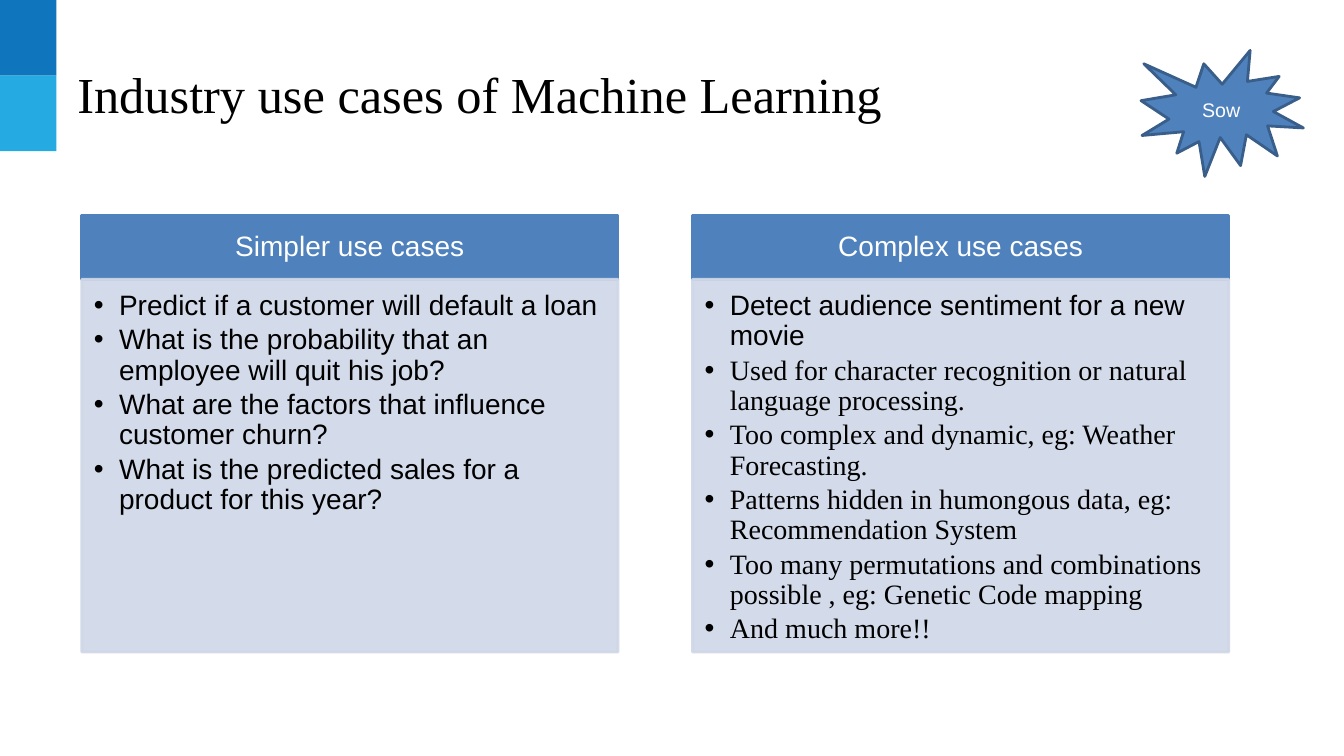
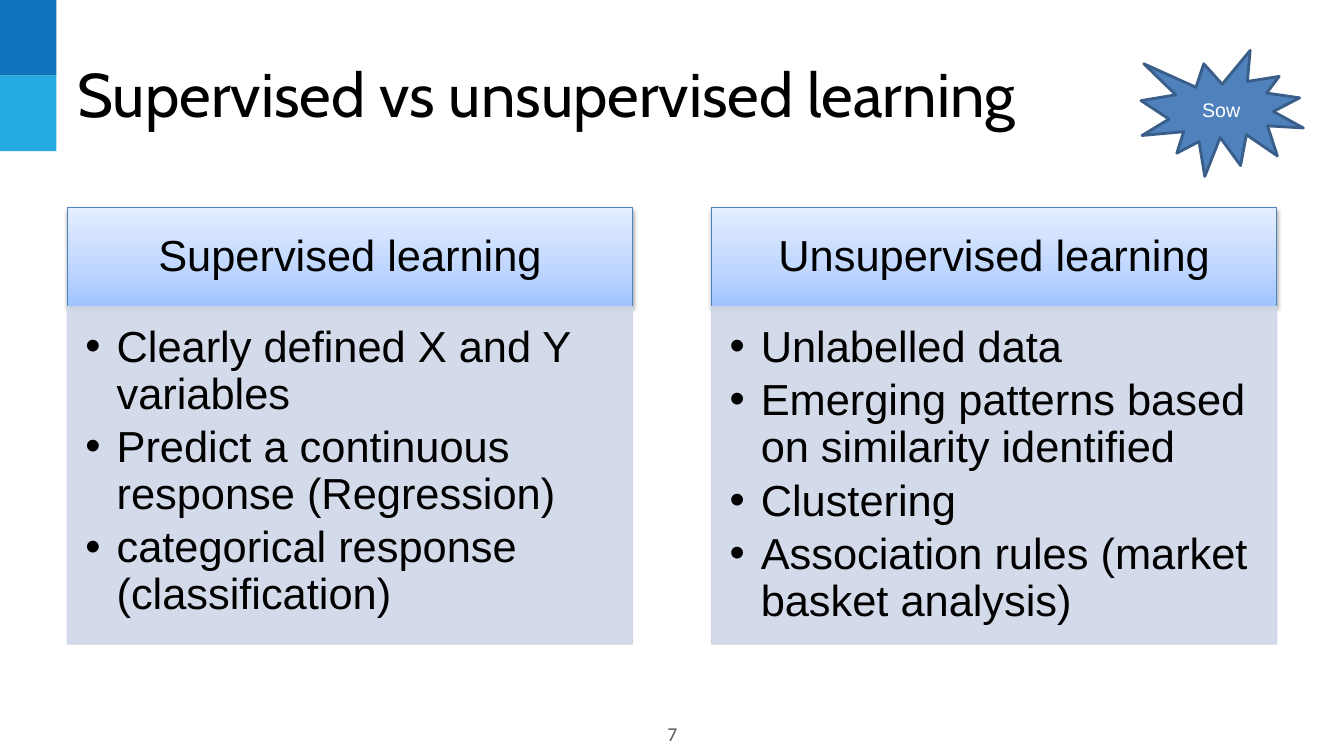
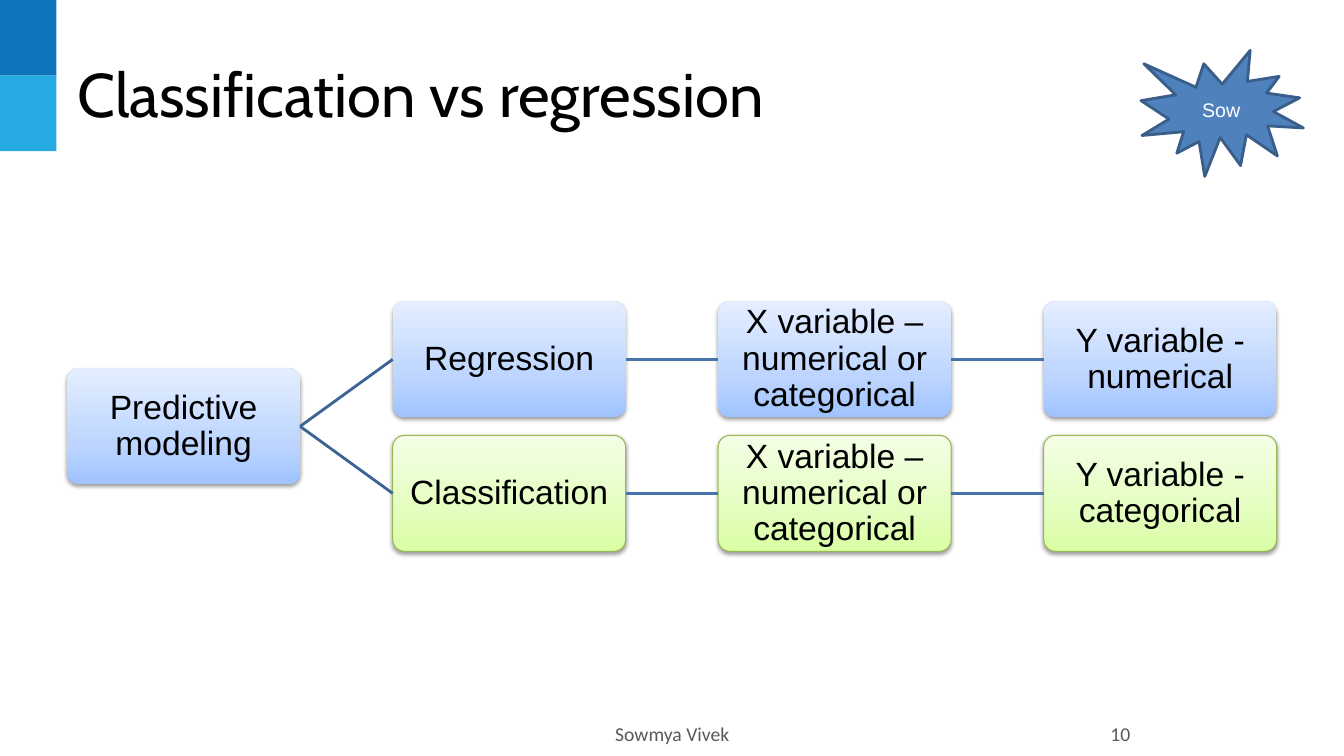
from lxml.etree import SubElement
from pptx import Presentation
from pptx.dml.color import RGBColor
from pptx.enum.shapes import MSO_CONNECTOR as Connector, MSO_SHAPE as Preset
from pptx.enum.text import MSO_ANCHOR as Anchor, MSO_AUTO_SIZE as AutoSize, PP_ALIGN as Align
from pptx.oxml.ns import qn
from pptx.util import Inches, Pt

BLACK = RGBColor(0x00, 0x00, 0x00)
WHITE = RGBColor(0xFF, 0xFF, 0xFF)
GREY = RGBColor(0x59, 0x59, 0x59)
DARK_BAND = RGBColor(0x0F, 0x75, 0xBD)
LIGHT_BAND = RGBColor(0x25, 0xAA, 0xE2)
BLUE = RGBColor(0x4F, 0x81, 0xBD)
SEAL_EDGE = RGBColor(0x39, 0x5E, 0x89)
PANEL = RGBColor(0xCF, 0xD7, 0xE7)
BRANCH = RGBColor(0x3B, 0x64, 0x95)
CHAIN = RGBColor(0x46, 0x74, 0xAA)
GREEN_EDGE = RGBColor(0x97, 0xB8, 0x53)
# Gradients run from the bottom edge up: (position in percent, colour)
BLUE_FADE = [(0, RGBColor(0x9F, 0xC3, 0xFF)), (35, RGBColor(0xBD, 0xD5, 0xFF)),
             (100, RGBColor(0xE4, 0xEE, 0xFF))]
GREEN_FADE = [(0, RGBColor(0xDA, 0xFE, 0xA4)), (35, RGBColor(0xE3, 0xFE, 0xBF)),
              (100, RGBColor(0xF4, 0xFE, 0xE6))]

TITLE_ONLY, COMPARISON = 5, 4
SERIF = "Times New Roman"
INSETS = (0.1, 0.05, 0.1, 0.05)


class Deck:
    """Holds the shared style and the current slide; areas are percent of the slide."""

    def __init__(self):
        self.presentation = Presentation()
        self.presentation.slide_width = Inches(13.33)
        self.presentation.slide_height = Inches(7.5)
        self.slide = None

    def area(self, left, top, width, height):
        across = self.presentation.slide_width / 100
        down = self.presentation.slide_height / 100
        return int(left * across), int(top * down), int(width * across), int(height * down)

    def place(self, shape, *shares):
        shape.left, shape.top, shape.width, shape.height = self.area(*shares)

    def set_text(self, shape, lines, size, font="Arial", color=BLACK, align=Align.CENTER,
                 anchor=Anchor.MIDDLE, insets=INSETS, spacing=1.0, gap=0, rest_font=None):
        """Fill a shape with paragraphs; rest_font applies after the first one."""
        frame = shape.text_frame
        frame.text = "\n".join(lines)
        settings = dict(zip(("margin_left", "margin_top", "margin_right", "margin_bottom"),
                            map(Inches, insets)))
        settings.update(word_wrap=True, auto_size=AutoSize.NONE, vertical_anchor=anchor)
        for name, value in settings.items():
            setattr(frame, name, value)
        for index, paragraph in enumerate(frame.paragraphs):
            paragraph.alignment = align
            paragraph.line_spacing = spacing
            paragraph.space_before = Pt(gap if index else 0)
            run = paragraph.runs[0]
            name = rest_font if index and rest_font else font
            for key, value in {"name": name, "size": Pt(size), "bold": False}.items():
                setattr(run.font, key, value)
            run.font.color.rgb = color

    def paint(self, shape, fill, edge=None, width=0.75, opacity=100):
        """Fill with a colour, or with a gradient that also casts a soft shadow."""
        shape.shadow.inherit = False
        if isinstance(fill, list):
            self.fade(shape, fill)
        else:
            shape.fill.solid()
            shape.fill.fore_color.rgb = fill
        if edge is None:
            shape.line.fill.background()
        else:
            shape.line.color.rgb = edge
            shape.line.width = Pt(width)
        if opacity < 100:
            for color in shape.element.spPr.iter(qn("a:srgbClr")):
                SubElement(color, qn("a:alpha"), val=str(opacity * 1000))

    def fade(self, shape, stops):
        shape.fill.gradient()
        shape.fill.gradient_angle = 90
        properties = shape.element.spPr
        stop_list = properties.find(qn("a:gradFill")).find(qn("a:gsLst"))
        for old_stop in list(stop_list):
            stop_list.remove(old_stop)
        for position, color in stops:
            stop = SubElement(stop_list, qn("a:gs"), pos=str(position * 1000))
            SubElement(stop, qn("a:srgbClr"), val=str(color))
        shadow = SubElement(properties.find(qn("a:effectLst")), qn("a:outerShdw"),
                            blurRad=str(Pt(3.1)), dist=str(Pt(1.6)), dir="5400000",
                            rotWithShape="0")
        black = SubElement(shadow, qn("a:srgbClr"), val=str(BLACK))
        SubElement(black, qn("a:alpha"), val="38000")

    def shape(self, preset, shares, fill, **edge):
        shape = self.slide.shapes.add_shape(preset, *self.area(*shares))
        self.paint(shape, fill, **edge)
        return shape

    def new_slide(self, layout, title, font="Cabin", size=44):
        self.slide = self.presentation.slides.add_slide(self.presentation.slide_layouts[layout])
        heading = self.slide.shapes.title
        self.place(heading, 5, 4, 90, 16.67)
        self.set_text(heading, [title], size, font, align=Align.LEFT)
        for row, color in enumerate((DARK_BAND, LIGHT_BAND)):
            self.shape(Preset.RECTANGLE, (0, 10 * row, 4.2, 10), color)
        seal = self.shape(Preset.EXPLOSION1, (84.9, 6.67, 12.08, 16.67), BLUE,
                          edge=SEAL_EDGE, width=2)
        self.set_text(seal, ["Sow"], 14, color=WHITE)

    def footer(self, text, left=34.2, width=31.65):
        box = self.slide.shapes.add_textbox(*self.area(left, 94.4, width, 5.33))
        self.set_text(box, [text], 14, "Calibri", GREY)

    def columns(self, contents, left, pitch, width, top, header_height, body_height,
                header_style, header_text, panel_edge, body_text, indent):
        """Fill the header and list placeholders of the comparison layout."""
        for column, (header_line, items, fonts) in enumerate(contents):
            header, body = (self.slide.placeholders[2 * column + part] for part in (1, 2))
            x = left + column * pitch
            self.place(header, x, top, width, header_height)
            self.paint(header, **header_style)
            self.set_text(header, [header_line], spacing=0.9, **header_text)
            self.place(body, x, top + header_height, width, body_height)
            self.paint(body, PANEL, PANEL, panel_edge, opacity=90)
            self.set_text(body, items, align=Align.LEFT, anchor=Anchor.TOP, spacing=0.9,
                          **body_text, **fonts)
            for paragraph in body.text_frame.paragraphs:
                properties = paragraph._p.get_or_add_pPr()
                properties.set("marL", str(Inches(indent)))
                properties.set("indent", str(-Inches(indent)))

    def node(self, text, column, row, fill, edge=None):
        shares = (5 + 24.22 * column, 39.87 + 17.73 * row, 17.33, 15.33)
        box = self.shape(Preset.ROUNDED_RECTANGLE, shares, fill, edge=edge)
        box.adjustments[0] = 0.1
        self.set_text(box, [text], 24, insets=(0.05,) * 4, spacing=0.9)
        return box

    def link(self, start, end, color):
        line = self.slide.shapes.add_connector(Connector.STRAIGHT, 0, 0, 0, 0)
        line.begin_connect(start, 3)
        line.end_connect(end, 1)
        line.line.color.rgb = color
        line.line.width = Pt(2)
        SubElement(line.element.spPr, qn("a:effectLst"))


def use_cases(deck):
    deck.new_slide(COMPARISON, "Industry use cases of Machine Learning", SERIF, 36)
    simpler = ["Predict if a customer will default a loan",
               "What is the probability that an employee will quit his job?",
               "What are the factors that influence customer churn?",
               "What is the predicted sales for a product for this year?"]
    complex_cases = ["Detect audience sentiment for a new movie",
                     "Used for character recognition or natural language processing.",
                     "Too complex and dynamic, eg: Weather Forecasting.",
                     "Patterns hidden in humongous data, eg: Recommendation System",
                     "Too many permutations and combinations possible , eg: Genetic Code mapping",
                     "And much more!!"]
    deck.columns([("Simpler use cases", simpler, {}),
                  ("Complex use cases", complex_cases, {"rest_font": SERIF})],
                 left=6.08, pitch=45.45, width=39.9,
                 top=28.53, header_height=8.4, body_height=49.33,
                 header_style={"fill": BLUE, "edge": BLUE, "width": 2},
                 header_text={"size": 20, "color": WHITE, "insets": (0.16, 0.09, 0.16, 0.09)},
                 panel_edge=2, indent=0.25,
                 body_text={"size": 20, "gap": 3, "insets": (0.12, 0.12, 0.16, 0.17)})


def learning_types(deck):
    deck.new_slide(COMPARISON, "Supervised vs unsupervised learning")
    supervised = ["Clearly defined X and Y variables",
                  "Predict a continuous response (Regression)",
                  "categorical response (classification)"]
    unsupervised = ["Unlabelled data",
                    "Emerging patterns based on similarity identified",
                    "Clustering",
                    "Association rules (market basket analysis)"]
    deck.columns([("Supervised learning", supervised, {}),
                  ("Unsupervised learning", unsupervised, {})],
                 left=5, pitch=47.93, width=42.07,
                 top=27.47, header_height=13.07, body_height=44.67,
                 header_style={"fill": BLUE_FADE, "edge": BLUE},
                 header_text={"size": 31, "insets": (0.24, 0.14, 0.24, 0.14)},
                 panel_edge=0.75, indent=0.31,
                 body_text={"size": 31, "gap": 4.7, "insets": (0.18, 0.18, 0.24, 0.27)})
    deck.footer("7")


def model_tree(deck):
    deck.new_slide(TITLE_ONLY, "Classification vs regression")
    root = deck.node("Predictive modeling", 0, 0.5, BLUE_FADE)
    branches = [("Regression", "numerical", BLUE_FADE, None),
                ("Classification", "categorical", GREEN_FADE, GREEN_EDGE)]
    for row, (name, outcome, fill, edge) in enumerate(branches):
        previous, color = root, BRANCH
        texts = (name, "X variable – numerical or categorical", f"Y variable - {outcome}")
        for column, text in enumerate(texts, start=1):
            box = deck.node(text, column, row, fill, edge)
            deck.link(previous, box, color)
            previous, color = box, CHAIN
    deck.footer("Sowmya Vivek")
    deck.footer("10", left=71.7, width=23.32)


def main():
    deck = Deck()
    use_cases(deck)
    learning_types(deck)
    model_tree(deck)
    deck.presentation.save("out.pptx")


if __name__ == "__main__":
    main()
